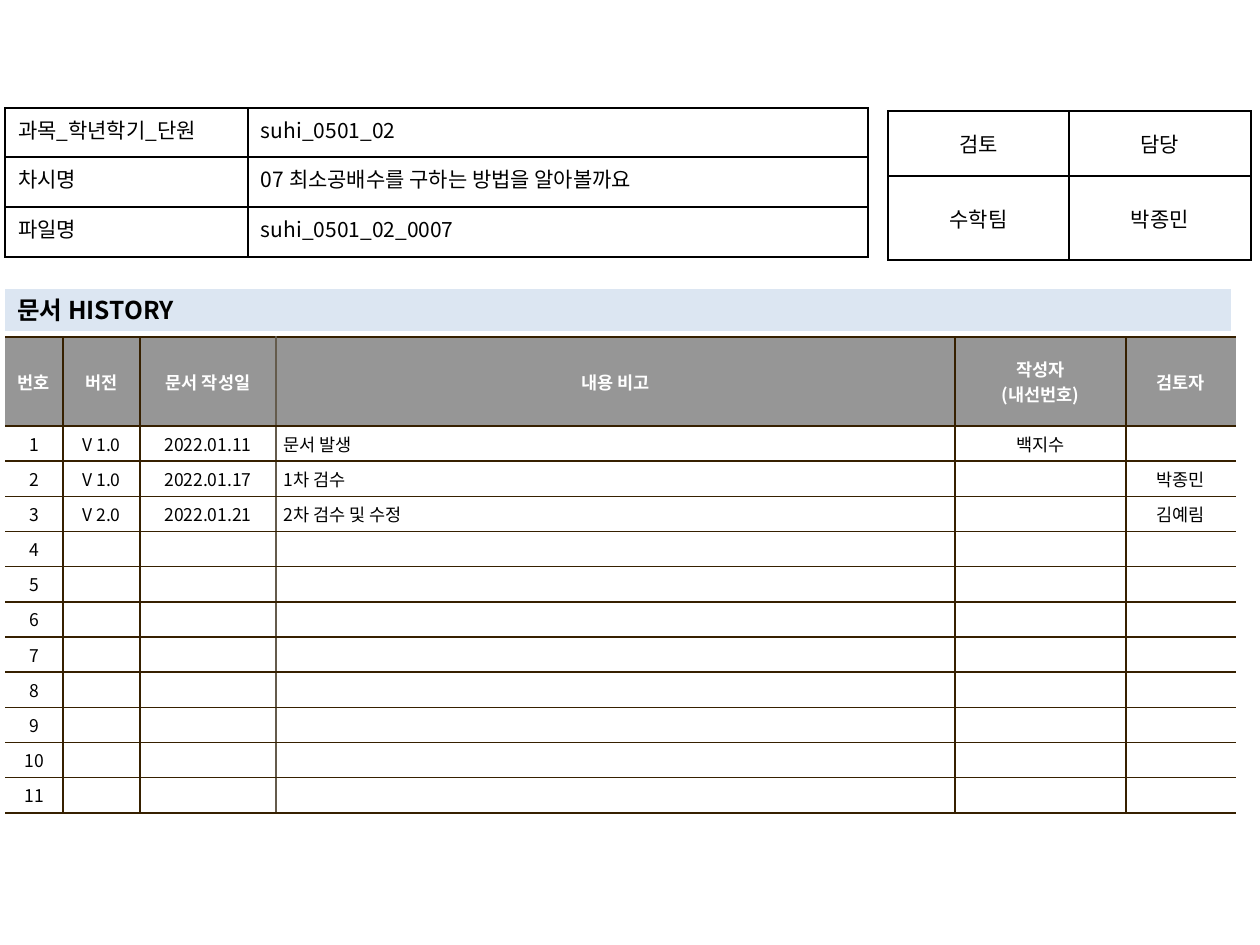
from lxml.etree import SubElement
from pptx import Presentation
from pptx.dml.color import RGBColor
from pptx.enum.shapes import MSO_SHAPE as Shape
from pptx.enum.text import MSO_ANCHOR as Anchor, PP_ALIGN as Align
from pptx.oxml import parse_xml
from pptx.oxml.ns import nsdecls, qn
from pptx.util import Pt

PX = 914400 / 126
FONT = "Noto Sans CJK KR"
BLACK = RGBColor(0x00, 0x00, 0x00)
WHITE = RGBColor(0xFF, 0xFF, 0xFF)
GRAY = RGBColor(0x96, 0x96, 0x96)
PALE_BLUE = RGBColor(0xDC, 0xE6, 0xF2)
BROWN = RGBColor(0x36, 0x20, 0x00)
TAUPE = RGBColor(0x64, 0x5B, 0x4C)


def px(length):
    """Turn a length in px into EMU."""
    return round(length * PX)


def write(frame, text, size, color=BLACK, bold=False, align=Align.LEFT):
    """Write each line of text as a paragraph with one run."""
    for index, line in enumerate(text.split("\n")):
        paragraph = frame.add_paragraph() if index else frame.paragraphs[0]
        paragraph.alignment = align
        if not line:
            SubElement(paragraph._p, qn("a:endParaRPr"), sz=str(size * 100))
            continue
        run = paragraph.add_run()
        run.text = line
        run.font.size = Pt(size)
        run.font.bold = bold
        run.font.name = FONT
        run.font.color.rgb = color
        SubElement(run._r.get_or_add_rPr(), qn("a:ea"), typeface=FONT)


def set_borders(cell, colors):
    """Draw the left, right, top and bottom borders, or hide those without a colour."""
    properties = cell._tc.get_or_add_tcPr()
    for index, (side, color) in enumerate(zip("LRTB", colors)):
        paint = f'<a:solidFill><a:srgbClr val="{color}"/></a:solidFill>' if color else "<a:noFill/>"
        properties.insert(index, parse_xml(
            f'<a:ln{side} {nsdecls("a")} w="12700">{paint}</a:ln{side}>'))


def add_grid(slide, left, top, widths, heights):
    """Add a table without banding, sized by its columns and rows."""
    table = slide.shapes.add_table(
        len(heights), len(widths), px(left), px(top), px(sum(widths)), px(sum(heights))).table
    table.first_row = table.horz_banding = False
    for column, width in zip(table.columns, widths):
        column.width = px(width)
    for row, height in zip(table.rows, heights):
        row.height = px(height)
    return table


def set_margins(cell, side, end):
    """Set equal margins at both sides and at both ends."""
    cell.margin_left = cell.margin_right = px(side)
    cell.margin_top = cell.margin_bottom = px(end)


def add_form(slide, left, top, widths, heights, rows, aligns, anchor):
    """Add a black-ruled form with one alignment for each column."""
    form = add_grid(slide, left, top, widths, heights)
    for r, entries in enumerate(rows):
        for c, (entry, align) in enumerate(zip(entries, aligns)):
            cell = form.cell(r, c)
            cell.fill.background()
            cell.vertical_anchor = anchor
            set_margins(cell, 13, 6)
            set_borders(cell, [BLACK] * 4)
            write(cell.text_frame, entry, 12, align=align)


def add_heading(slide, left, top, width, height):
    """Add the pale bar that titles the history."""
    bar = slide.shapes.add_shape(Shape.RECTANGLE, px(left), px(top), px(width), px(height))
    bar.shadow.inherit = False
    bar.fill.solid()
    bar.fill.fore_color.rgb = PALE_BLUE
    bar.line.fill.background()
    bar.text_frame.vertical_anchor = Anchor.MIDDLE
    write(bar.text_frame, "문서 HISTORY", 14, bold=True)


def add_history(slide, left, top):
    """Add the numbered revision history, open at its left and right."""
    titles = ["번호", "버전", "문서 작성일", "내용 비고", "작성자\n(내선번호)", "검토자"]
    revisions = [
        ["V 1.0", "2022.01.11", "문서 발생", "백지수", ""],
        ["V 1.0", "2022.01.17", "1차 검수", "", "박종민"],
        ["V 2.0", "2022.01.21", "2차 검수 및 수정", "", "김예림"],
    ]
    revisions += [[""] * 5] * 8
    rows = [titles] + [[str(n), *revision] for n, revision in enumerate(revisions, 1)]
    verticals = [None, BROWN, BROWN, TAUPE, BROWN, BROWN, None]
    note_column = titles.index("내용 비고")
    history = add_grid(slide, left, top, [58, 77, 136, 679, 171, 110], [89] + [32] * 11)
    for r, entries in enumerate(rows):
        is_header = r == 0
        for c, entry in enumerate(entries):
            cell = history.cell(r, c)
            cell.fill.solid()
            cell.fill.fore_color.rgb = GRAY if is_header else WHITE
            cell.vertical_anchor = Anchor.MIDDLE
            set_margins(cell, 8, 5)
            set_borders(cell, [verticals[c], verticals[c + 1], BROWN, BROWN])
            align = Align.LEFT if c == note_column and not is_header else Align.CENTER
            write(cell.text_frame, entry, 10, WHITE if is_header else BLACK, is_header, align)


def main():
    """Build the document history slide."""
    deck = Presentation()
    deck.slide_width, deck.slide_height = px(1260), px(945)
    slide = deck.slides.add_slide(deck.slide_layouts[6])
    add_history(slide, 5, 337)
    approvals = [["검토", "담당"], ["수학팀", "박종민"]]
    add_form(slide, 888, 111, [181, 182], [65, 84], approvals, [Align.CENTER] * 2, Anchor.MIDDLE)
    add_heading(slide, 5, 289, 1226, 42)
    lesson = [
        ["과목_학년학기_단원", "suhi_0501_02"],
        ["차시명", "07 최소공배수를 구하는 방법을 알아볼까요"],
        ["파일명", "suhi_0501_02_0007"],
    ]
    add_form(slide, 5, 108, [243, 620], [49, 50, 50], lesson,
             [Align.JUSTIFY, Align.LEFT], Anchor.TOP)
    deck.save("out.pptx")


if __name__ == "__main__":
    main()
